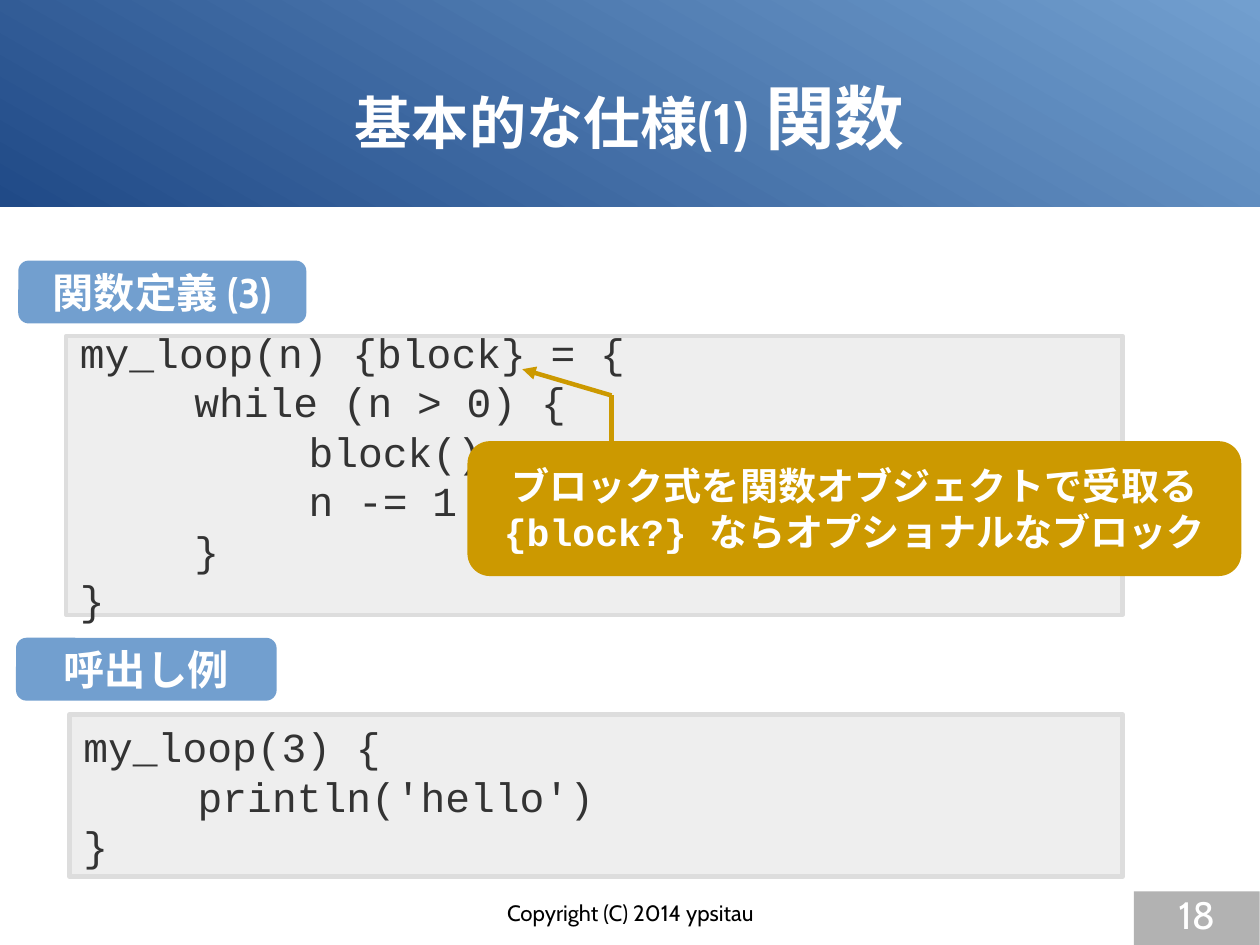
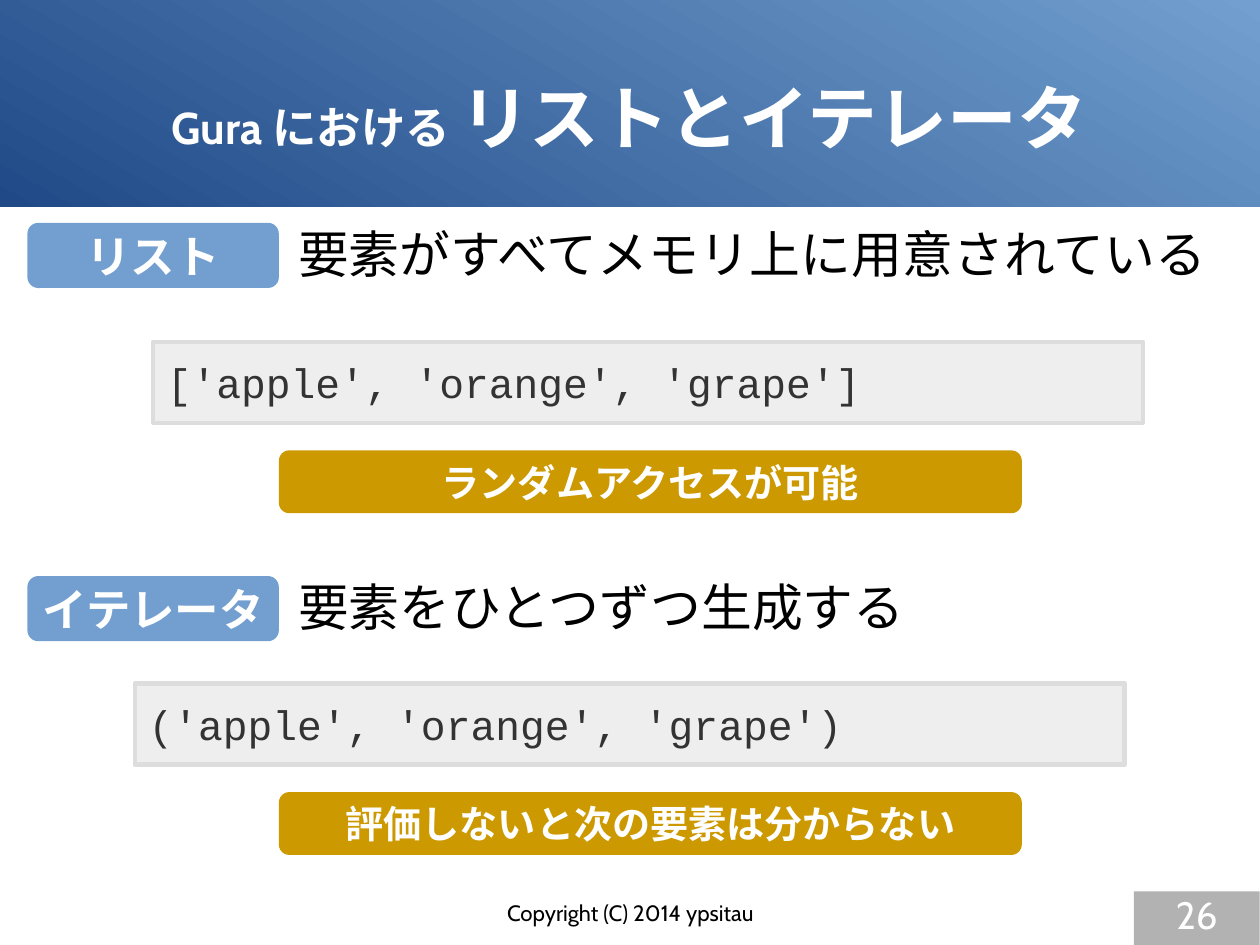
from dataclasses import dataclass
from typing import NamedTuple

from pptx import Presentation
from pptx.dml.color import RGBColor
from pptx.enum.shapes import MSO_CONNECTOR as Conn, MSO_SHAPE as Kind
from pptx.enum.text import MSO_ANCHOR as Anchor, PP_ALIGN as Align
from pptx.oxml.ns import qn
from pptx.util import Inches, Pt
from lxml.etree import SubElement

WIDE, HIGH = 28 / 2.54, 21 / 2.54
NAVY = RGBColor(0x20, 0x4A, 0x87)
BLUE = RGBColor(0x72, 0x9F, 0xCF)
GOLD = RGBColor(0xCC, 0x99, 0x00)
PALE = RGBColor(0xEE, 0xEE, 0xEE)
EDGE = RGBColor(0xDD, 0xDD, 0xDD)
GREY = RGBColor(0xB2, 0xB2, 0xB2)
DARK = RGBColor(0x33, 0x33, 0x33)
WHITE = RGBColor(0xFF, 0xFF, 0xFF)
BLACK = RGBColor(0x00, 0x00, 0x00)
SANS, MONO = "Cabin", "Courier New"
STROKE = 2.83


class Box(NamedTuple):
    left: float
    top: float
    width: float
    height: float


class Part(NamedTuple):
    text: str
    size: float


@dataclass(frozen=True)
class Style:
    font: str
    color: RGBColor
    bold: bool = False
    align: Align = Align.LEFT
    anchor: Anchor = Anchor.MIDDLE
    pad: tuple[float, float] = (0.1, 0.05)
    wrap: bool = True
    kind: Kind | None = None
    fill: RGBColor | None = None
    edge: RGBColor | None = None
    tabs: tuple[float, ...] = ()


class Row(NamedTuple):
    top: float
    tag: str
    text: str
    box: Box
    code: str
    note: str


TITLE = Style(SANS, WHITE, True, Align.CENTER, pad=(0, 0))
TAG = Style(SANS, WHITE, True, Align.CENTER, wrap=False,
            kind=Kind.ROUNDED_RECTANGLE, fill=BLUE)
NOTE = Style(MONO, WHITE, True, Align.CENTER, wrap=False,
             kind=Kind.ROUNDED_RECTANGLE, fill=GOLD)
CODE = Style(MONO, DARK, pad=(0.12, 0.07), kind=Kind.RECTANGLE,
             fill=PALE, edge=EDGE, tabs=(1, 2))
TEXT = Style(SANS, BLACK, anchor=Anchor.TOP, wrap=False)
FOOT = Style(SANS, BLACK, align=Align.CENTER, anchor=Anchor.TOP, pad=(0, 0))
PAGE = Style(SANS, WHITE, align=Align.CENTER, anchor=Anchor.TOP, pad=(0, 0),
             kind=Kind.RECTANGLE, fill=GREY)


def place(box: Box) -> list[int]:
    return [Inches(side) for side in box]


def draw(slide, box: Box, style: Style, lines: list[list[Part]]) -> None:
    if style.kind is None:
        shape = slide.shapes.add_textbox(*place(box))
    else:
        shape = slide.shapes.add_shape(style.kind, *place(box))
        shape.shadow.inherit = False
        shape.fill.solid()
        shape.fill.fore_color.rgb = style.fill
        if style.edge is None:
            shape.line.fill.background()
        else:
            shape.line.color.rgb = style.edge
            shape.line.width = Pt(STROKE)
    frame = shape.text_frame
    frame.word_wrap = style.wrap
    frame.vertical_anchor = style.anchor
    frame.margin_left = frame.margin_right = Inches(style.pad[0])
    frame.margin_top = frame.margin_bottom = Inches(style.pad[1])
    for index, line in enumerate(lines):
        para = frame.add_paragraph() if index else frame.paragraphs[0]
        para.alignment = style.align
        if style.tabs:
            stops = SubElement(para._p.get_or_add_pPr(), qn("a:tabLst"))
            for stop in style.tabs:
                SubElement(stops, qn("a:tab"), pos=str(Inches(stop)), algn="l")
        for part in line:
            run = para.add_run()
            run.text = part.text
            font = run.font
            font.name, font.size, font.bold = style.font, Pt(part.size), style.bold
            font.color.rgb = style.color


def write(slide, box: Box, style: Style, size: float, *lines: str) -> None:
    draw(slide, box, style, [[Part(line, size)] for line in lines])


def link(slide, start: tuple[float, float], end: tuple[float, float],
         arrow: bool = False) -> None:
    line = slide.shapes.add_connector(
        Conn.STRAIGHT, *[Inches(value) for value in start + end])
    line.line.color.rgb = GOLD
    line.line.width = Pt(STROKE)
    props = line._element.spPr
    if arrow:
        SubElement(props.find(qn("a:ln")), qn("a:headEnd"), type="triangle")
    SubElement(props, qn("a:effectLst"))


def start(deck, title: list[Part], page: int):
    slide = deck.slides.add_slide(deck.slide_layouts[6])
    band = slide.shapes.add_shape(Kind.RECTANGLE, *place(Box(0, 0, WIDE, 1.81)))
    band.shadow.inherit = False
    band.line.fill.background()
    band.fill.gradient()
    band.fill.gradient_angle = 60
    for stop, color in zip(band.fill.gradient_stops, (NAVY, BLUE)):
        stop.color.rgb = color
    draw(slide, Box(0.55, 0.33, 9.92, 1.38), TITLE, [title])
    write(slide, Box(3.77, 7.87, 3.49, 0.41), FOOT, 14, "Copyright (C) 2014 ypsitau")
    write(slide, Box(9.92, 7.8, 1.1, 0.47), PAGE, 24, str(page))
    return slide


def blocks(deck) -> None:
    slide = start(deck, [Part("基本的な仕様(1)", 36), Part(" 関数", 44)], 18)
    write(slide, Box(0.58, 2.94, 9.24, 2.44), CODE, 26,
          "my_loop(n) {block} = {", "\twhile (n > 0) {", "\t\tblock()",
          "\t\tn -= 1", "\t}", "}")
    write(slide, Box(0.61, 6.25, 9.21, 1.42), CODE, 26,
          "my_loop(3) {", "\tprintln('hello')", "}")
    write(slide, Box(0.16, 2.28, 2.52, 0.55), TAG, 26, "関数定義 (3)")
    write(slide, Box(0.14, 5.58, 2.28, 0.55), TAG, 26, "呼出し例")
    note = Box(4.09, 3.86, 6.77, 1.18)
    write(slide, note, NOTE, 24, "ブロック式を関数オブジェクトで受取る",
          "{block?} ならオプショナルなブロック")
    bend = (5.35, 3.46)
    link(slide, (4.57, 3.23), bend, arrow=True)
    link(slide, bend, (bend[0], note.top))


def lists(deck) -> None:
    slide = start(deck, [Part("Gura における ", 28), Part("リストとイテレータ", 44)], 26)
    rows = [
        Row(1.95, "リスト", "要素がすべてメモリ上に用意されている",
            Box(1.34, 2.99, 8.66, 0.71), "['apple', 'orange', 'grape']",
            "ランダムアクセスが可能"),
        Row(5.04, "イテレータ", "要素をひとつずつ生成する",
            Box(1.18, 5.98, 8.66, 0.71), "('apple', 'orange', 'grape')",
            "評価しないと次の要素は分からない"),
    ]
    for row in rows:
        write(slide, Box(0.24, row.top, 2.2, 0.57), TAG, 28, row.tag)
        width = len(row.text) * 32 / 72 + 0.2
        write(slide, Box(2.51, row.top - 0.05, width, 0.77), TEXT, 32, row.text)
        write(slide, row.box, CODE, 26, row.code)
        write(slide, Box(2.44, row.box.top + 0.95, 6.5, 0.55), NOTE, 24, row.note)


def main() -> None:
    deck = Presentation()
    deck.slide_width, deck.slide_height = Inches(WIDE), Inches(HIGH)
    blocks(deck)
    lists(deck)
    deck.save("out.pptx")


if __name__ == "__main__":
    main()
